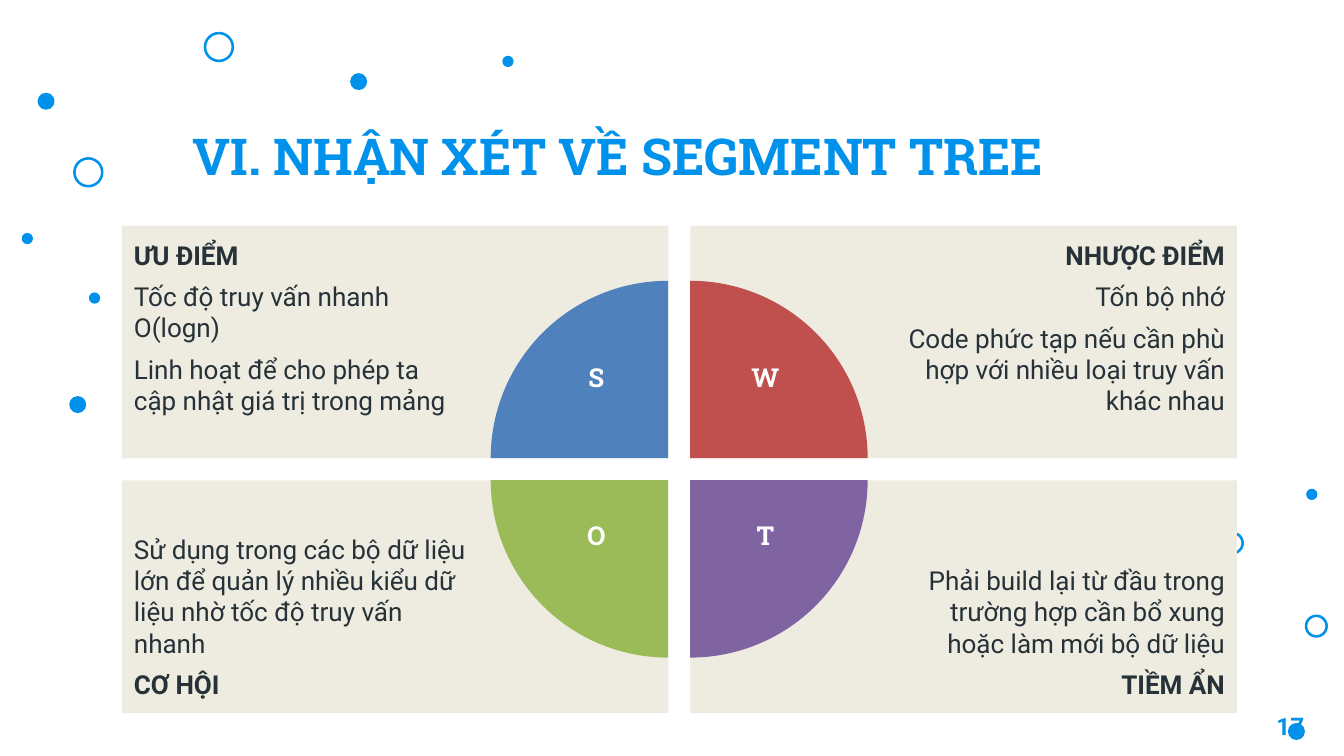
from pptx import Presentation
from pptx.dml.color import RGBColor
from pptx.enum.shapes import MSO_SHAPE as SHAPE
from pptx.enum.text import MSO_ANCHOR as ANCHOR, PP_ALIGN as ALIGN
from pptx.util import Cm, Pt

BLUE, DARK, WHITE, BEIGE = "0091EA", "263238", "FFFFFF", "EEECE1"


def paint(kind, x, y, w, h, fill=None, line=None):
    """Add a shape without shadow, sized in centimetres."""
    s = shapes.add_shape(kind, Cm(x), Cm(y), Cm(w), Cm(h))
    s.shadow.inherit = False
    for part, color in ((s.fill, fill), (s.line.fill, line)):
        if color:
            part.solid()
            part.fore_color.rgb = RGBColor.from_string(color)
        else:
            part.background()
    return s


def write(s, paragraphs, size, color, align, anchor, insets, font="Roboto"):
    """Fill a shape with (text, bold) paragraphs."""
    tf = s.text_frame
    tf.word_wrap = True
    tf.vertical_anchor = anchor
    for side, inset in zip(("left", "top", "right", "bottom"), insets):
        setattr(tf, f"margin_{side}", Cm(inset))
    for i, (text, bold) in enumerate(paragraphs):
        p = tf.add_paragraph() if i else tf.paragraphs[0]
        p.alignment = align
        if i:
            p.space_before = Pt(6)
        r = p.add_run()
        r.text = text
        for name, value in {"name": font, "size": Pt(size), "bold": bold}.items():
            setattr(r.font, name, value)
        r.font.color.rgb = RGBColor.from_string(color)
    return tf


prs = Presentation()
prs.slide_width, prs.slide_height = Cm(27.99), Cm(15.75)
shapes = prs.slides.add_slide(prs.slide_layouts[6]).shapes

# Scattered dots: the small ones are filled, the large ones are rings
SMALL, MEDIUM, RING, BIG_RING = 0.18, 0.3, 0.43, 0.58
dots = [
    (27.23, 10.21, SMALL), (26.85, 15.09, MEDIUM), (7.32, 1.55, MEDIUM),
    (1.47, 8.28, MEDIUM), (0.81, 1.96, MEDIUM), (1.55, 3.3, BIG_RING),
    (25.45, 11.1, RING), (27.2, 12.83, RING), (0.48, 4.88, SMALL),
    (4.27, 0.69, BIG_RING), (1.88, 6.12, SMALL), (10.49, 1.19, SMALL),
]
for x, y, d in dots:
    s = paint(SHAPE.OVAL, x, y, d, d, None if d >= RING else BLUE, BLUE)
    s.line.width = Pt(1.5)

# Title and page number
headings = [
    ("VI. NHẬN XÉT VỀ SEGMENT TREE", 30, "Roboto Slab", ALIGN.LEFT, ANCHOR.BOTTOM,
     (3.76, 1.98, 18.54, 2.16)),
    ("17", 14.3, "Roboto", ALIGN.RIGHT, ANCHOR.TOP, (25.73, 14.55, 1.68, 1.19)),
]
for text, size, font, align, anchor, box in headings:
    s = shapes.add_textbox(*map(Cm, box))
    write(s, [(text, True)], size, BLUE, align, anchor, (0.25, 0.28, 0.25, 0.28), font)

# SWOT quadrants, clockwise from the top left: letter, colour, column, row, text
quadrants = [
    ("S", "4F81BD", 0, 0, [
        ("ƯU ĐIỂM", True),
        ("Tốc độ truy vấn nhanh O(logn)", False),
        ("Linh hoạt để cho phép ta cập nhật giá trị trong mảng", False)]),
    ("W", "C0504D", 1, 0, [
        ("NHƯỢC ĐIỂM", True),
        ("Tốn bộ nhớ", False),
        ("Code phức tạp nếu cần phù hợp với nhiều loại truy vấn khác nhau", False)]),
    ("T", "8064A2", 1, 1, [
        ("Phải build lại từ đầu trong trường hợp cần bổ xung hoặc làm mới bộ dữ liệu",
         False),
        ("TIỀM ẨN", True)]),
    ("O", "9BBB59", 0, 1, [
        ("Sử dụng trong các bộ dữ liệu lớn để quản lý nhiều kiểu dữ liệu nhờ tốc độ "
         "truy vấn nhanh", False),
        ("CƠ HỘI", True)]),
]
CARD_W, CARD_H, GAP, PIE = 11.38, 4.85, 0.46, 7.39
for letter, color, col, row, paragraphs in quadrants:
    x, y = 2.54 + col * (CARD_W + GAP), 4.7 + row * (CARD_H + GAP)
    s = paint(SHAPE.RECTANGLE, x, y, CARD_W, CARD_H, BEIGE)
    tf = write(s, paragraphs, 15.4, DARK,
               ALIGN.RIGHT if col else ALIGN.LEFT,
               ANCHOR.BOTTOM if row else ANCHOR.TOP,
               (4.19, 0.28, 0.25, 0.28) if col else (0.25, 0.28, 4.19, 0.28))
    if row:
        tf.paragraphs[-1].space_after = Pt(6)

for i, (letter, color, col, row, paragraphs) in enumerate(quadrants):
    s = paint(SHAPE.PIE, 10.22 + col * GAP, 5.85 + row * GAP, PIE, PIE, color)
    s.adjustments[0], s.adjustments[1] = 108, 162  # 180° to 270°
    s.rotation = 90 * i

for letter, color, col, row, paragraphs in quadrants:
    s = shapes.add_textbox(Cm(11.42 + col * 3.52), Cm(7.4 + row * 3.3), Cm(2), Cm(1.36))
    write(s, [(letter, True)], 15.4, WHITE, ALIGN.CENTER, ANCHOR.TOP,
          (0.28, 0.13, 0.28, 0.13), "Roboto Slab")

prs.save("out.pptx")
